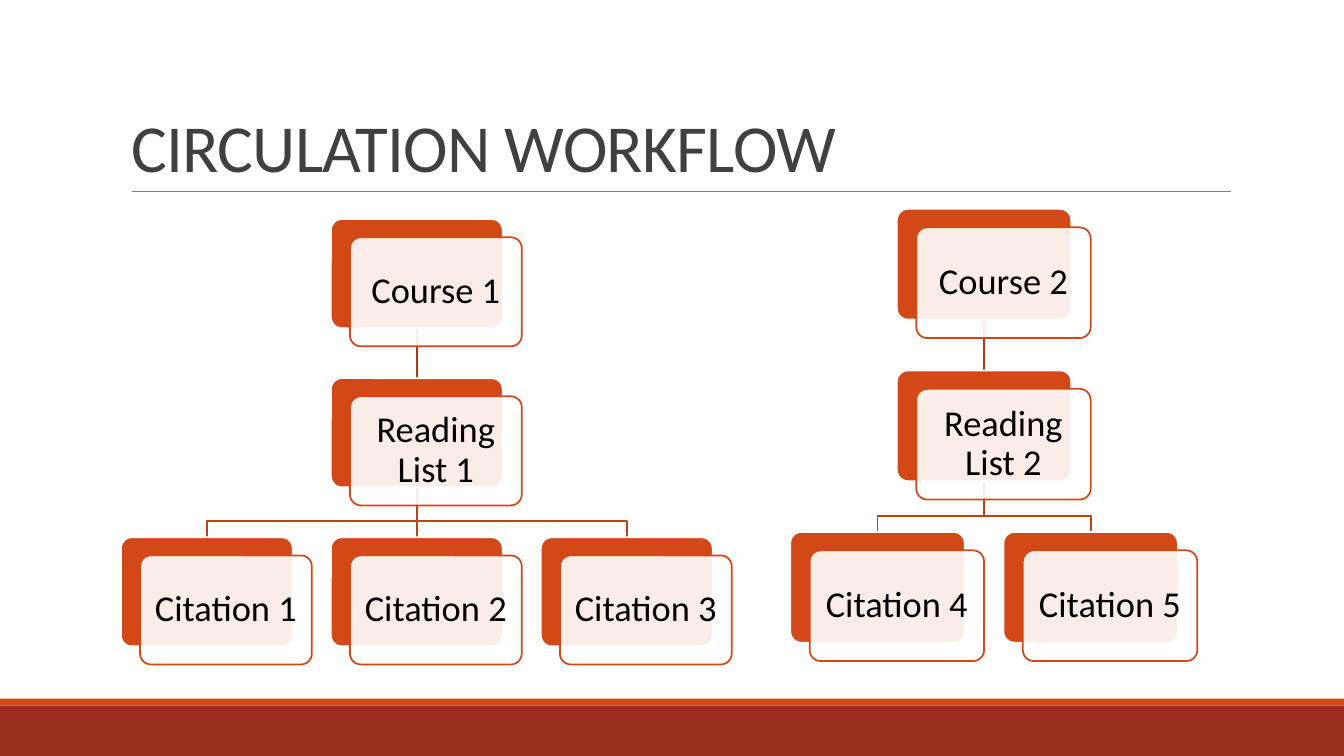
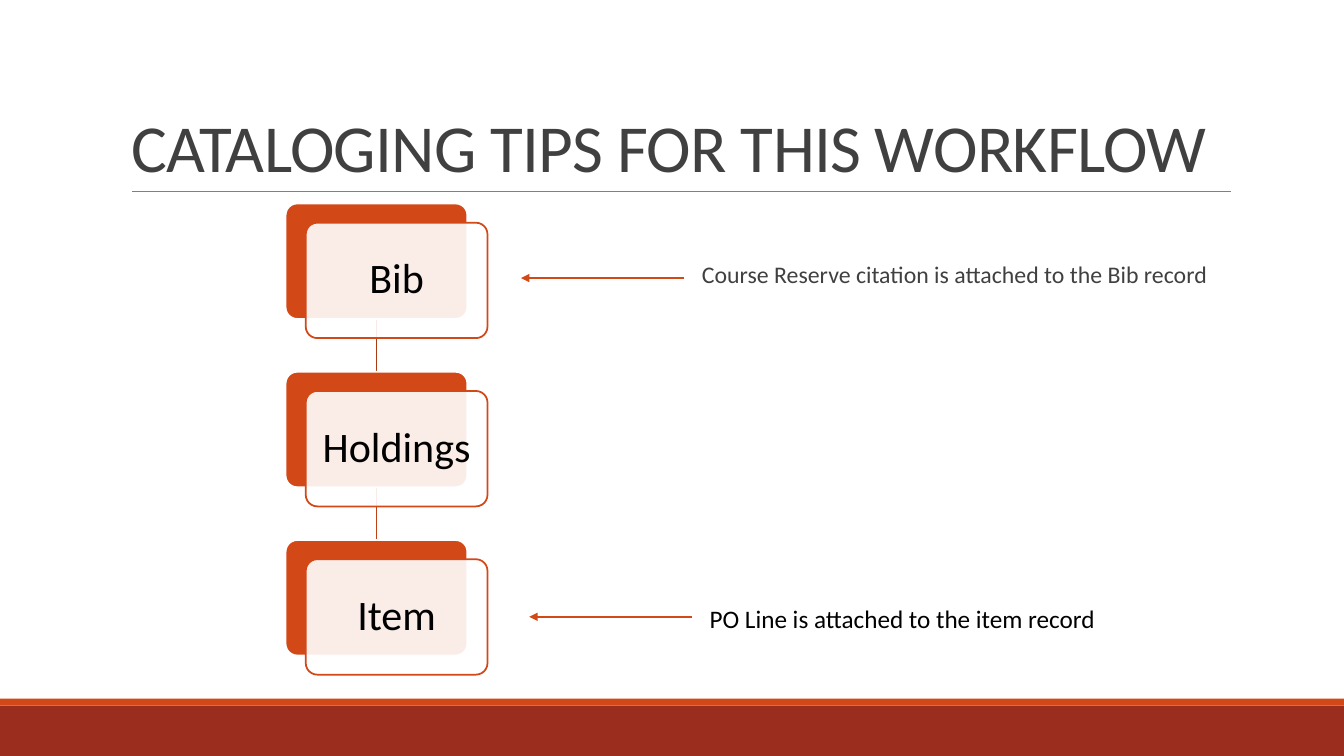
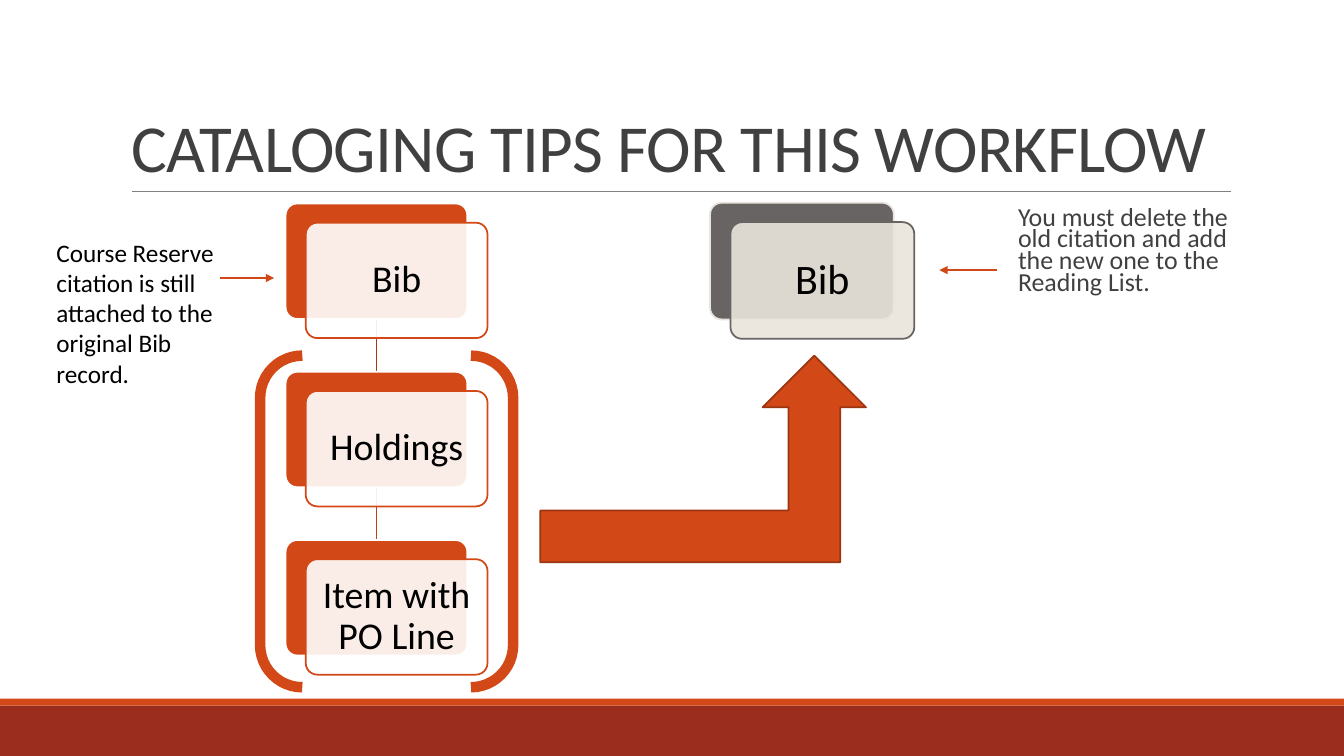
from dataclasses import dataclass

from lxml.etree import SubElement
from pptx import Presentation
from pptx.dml.color import RGBColor
from pptx.enum.shapes import MSO_CONNECTOR, MSO_SHAPE
from pptx.enum.text import MSO_ANCHOR, MSO_AUTO_SIZE, PP_ALIGN
from pptx.oxml.ns import qn
from pptx.util import Pt

ORANGE = RGBColor(0xD3, 0x48, 0x17)
BRICK = RGBColor(0x9B, 0x2D, 0x1F)
ARROW_EDGE = RGBColor(0x9C, 0x35, 0x11)
UPPER_LINK = RGBColor(0xA9, 0x3A, 0x12)
LOWER_LINK = RGBColor(0xBF, 0x41, 0x15)
RULE_GRAY = RGBColor(0x80, 0x80, 0x80)
CARD_GRAY = RGBColor(0x69, 0x64, 0x64)
CREAM = RGBColor(0xE9, 0xE5, 0xDC)
DARK_TEXT = RGBColor(0x40, 0x40, 0x40)
BLACK = RGBColor(0, 0, 0)
WHITE = RGBColor(0xFF, 0xFF, 0xFF)

FONT = "Calibri"
PAGE_WIDTH, PAGE_HEIGHT = 960, 540
MARGINS = ("margin_left", "margin_top", "margin_right", "margin_bottom")
TIPS_TITLE = "CATALOGING TIPS FOR THIS WORKFLOW"


@dataclass
class CardGrid:
    """Cards in columns and rows; every measure follows from the card width."""
    left: float
    top: float
    width: float
    size: float
    strong: RGBColor = ORANGE
    pale: RGBColor = WHITE

    @property
    def height(self):
        return self.width * 0.635

    def corner(self, column, row):
        return (self.left + column * self.width * 11 / 9,
                self.top + row * self.width * 0.926)


def points(*lengths):
    return [Pt(length) for length in lengths]


def apply_format(target, values):
    for name, value in values.items():
        setattr(target, name, value)


def write_text(frame, text, size, colour, spacing=1.0, align=PP_ALIGN.LEFT,
               anchor=MSO_ANCHOR.TOP, margins=(0, 0, 0, 0)):
    apply_format(frame, {"word_wrap": True, "auto_size": MSO_AUTO_SIZE.NONE,
                         "vertical_anchor": anchor})
    apply_format(frame, dict(zip(MARGINS, points(*margins))))
    para = frame.paragraphs[0]
    apply_format(para, {"alignment": align, "line_spacing": spacing})
    span = para.add_run()
    span.text = text
    apply_format(span.font, {"name": FONT, "size": Pt(size)})
    span.font.color.rgb = colour
    return span


def set_line(shape, colour, width):
    shape.line.color.rgb = colour
    shape.line.width = Pt(width)


def add_block(page, kind, box, fill=None, edge=None, edge_width=1.25, opacity=100):
    block = page.shapes.add_shape(kind, *points(*box))
    block.shadow.inherit = False
    if fill is None:
        block.fill.background()
    else:
        block.fill.solid()
        block.fill.fore_color.rgb = fill
        if opacity < 100:
            colour = block.element.spPr.find(f"{qn('a:solidFill')}/{qn('a:srgbClr')}")
            SubElement(colour, qn("a:alpha"), val=str(opacity * 1000))
    if edge is None:
        block.line.fill.background()
    else:
        set_line(block, edge, edge_width)
    return block


def add_line(page, ends, colour, width, arrow=False):
    line = page.shapes.add_connector(MSO_CONNECTOR.STRAIGHT, *points(*ends))
    set_line(line, colour, width)
    properties = line.element.spPr
    SubElement(properties, qn("a:effectLst"))
    if arrow:
        SubElement(properties.find(qn("a:ln")), qn("a:tailEnd"), type="triangle")
    return line


def add_arrow(page, start, end, height):
    add_line(page, (start, height, end, height), ORANGE, 1, arrow=True)


def add_note(page, text, box, size=18, colour=BLACK, spacing=1.0):
    note = page.shapes.add_textbox(*points(*box))
    write_text(note.text_frame, text, size, colour, spacing)


def add_link(page, grid, parent, child):
    """Join the bottom of one card to the top of another, with a bend if needed."""
    start_x, start_y = grid.corner(*parent)
    end_x, end_y = grid.corner(*child)
    start_x += grid.width / 2
    end_x += grid.width / 2
    start_y += grid.height
    colour = LOWER_LINK if parent[1] else UPPER_LINK
    if parent[0] == child[0]:
        add_line(page, (start_x, start_y, end_x, end_y), colour, 1.25)
        return
    bend_y = start_y + (end_y - start_y) * 0.68
    builder = page.shapes.build_freeform(Pt(start_x), Pt(start_y))
    corners = [(start_x, bend_y), (end_x, bend_y), (end_x, end_y)]
    builder.add_line_segments([points(*corner) for corner in corners], close=False)
    link = builder.convert_to_shape()
    link.shadow.inherit = False
    link.fill.background()
    set_line(link, colour, 1.25)


def add_card(page, grid, text, cell):
    """Draw a solid card with a translucent, labelled card shifted over it."""
    left, top = grid.corner(*cell)
    size = (grid.width, grid.height)
    back = add_block(page, MSO_SHAPE.ROUNDED_RECTANGLE, (left, top, *size),
                     grid.strong, grid.pale)
    front = add_block(page, MSO_SHAPE.ROUNDED_RECTANGLE,
                      (left + grid.width / 9, top + grid.width * 0.1056, *size),
                      grid.pale, grid.strong, opacity=90)
    for card in (back, front):
        card.adjustments[0] = 0.1
    write_text(front.text_frame, text, grid.size, BLACK, 0.9, PP_ALIGN.CENTER,
               MSO_ANCHOR.MIDDLE, (7, 7, 7, 7))


def add_tree(page, grid, cards, links):
    for parent, child in links:
        add_link(page, grid, cards[parent], cards[child])
    for text, cell in cards.items():
        add_card(page, grid, text, cell)


def add_chain(page, labels, size):
    cards = {label: (0, row) for row, label in enumerate(labels)}
    add_tree(page, CardGrid(204, 145.4, 129.8, size), cards, zip(labels, labels[1:]))


def dress_layout(layout, page):
    """Draw the shared bands and title rule, then move them to the layout."""
    for placeholder in list(layout.placeholders):
        if placeholder.placeholder_format.idx != 0:
            layout.shapes.element.remove(placeholder.element)
    shared = [
        add_block(page, MSO_SHAPE.RECTANGLE, (0, 504, PAGE_WIDTH, 36), BRICK),
        add_block(page, MSO_SHAPE.RECTANGLE, (0, 499, PAGE_WIDTH, 5), ORANGE),
        add_line(page, (94.3, 136.8, 879.1, 136.8), RULE_GRAY, 0.5),
    ]
    for shape in shared:
        layout.shapes.element.append(shape.element)


def add_page(deck, layout, title):
    page = deck.slides.add_slide(layout)
    box = page.shapes.title
    apply_format(box, dict(zip(("left", "top", "width", "height"),
                               points(86.4, 22.3, 792, 114.5))))
    span = write_text(box.text_frame, title, 48, DARK_TEXT, 0.85,
                      anchor=MSO_ANCHOR.BOTTOM, margins=(7.2, 3.6, 7.2, 3.6))
    span.font.element.set("spc", "-50") if hasattr(span.font, "element") else \
        span._r.get_or_add_rPr().set("spc", "-50")
    return page


def fill_circulation(page):
    add_tree(page, CardGrid(86.4, 156.5, 122.7, 26),
             {"Course 1": (1, 0), "Reading List 1": (1, 1), "Citation 1": (0, 2),
              "Citation 2": (1, 2), "Citation 3": (2, 2)},
             [("Reading List 1", "Citation 3"), ("Reading List 1", "Citation 2"),
              ("Reading List 1", "Citation 1"), ("Course 1", "Reading List 1")])
    add_tree(page, CardGrid(564.5, 149.2, 124.6, 26),
             {"Course 2": (0.5, 0), "Reading List 2": (0.5, 1),
              "Citation 4": (0, 2), "Citation 5": (1, 2)},
             [("Reading List 2", "Citation 5"), ("Reading List 2", "Citation 4"),
              ("Course 2", "Reading List 2")])


def fill_attachments(page):
    add_chain(page, ["Bib", "Holdings", "Item"], 30)
    add_arrow(page, 488.6, 372.2, 198.6)
    add_note(page, "Course Reserve citation is attached to the Bib record",
             (501.4, 189.4, 393, 27), 17, DARK_TEXT, 0.8)
    add_arrow(page, 494.2, 378, 440.6)
    add_note(page, "PO Line is attached to the item record", (506.9, 430.6, 311, 22))


def fill_relocation(page):
    add_chain(page, ["Bib", "Holdings", "Item with PO Line"], 27)
    add_note(page, "You must delete the old citation and add the new one to the "
             "Reading List.", (727.2, 149, 151.2, 74), 18.5, DARK_TEXT, 0.7)
    add_card(page, CardGrid(507.2, 144.8, 131.3, 30, CARD_GRAY, CREAM), "Bib", (0, 0))
    add_block(page, MSO_SHAPE.BENT_UP_ARROW, (386, 254, 232.6, 147.6),
              ORANGE, ARROW_EDGE)
    add_block(page, MSO_SHAPE.DOUBLE_BRACKET, (185.8, 254, 180.7, 236.9),
              edge=ORANGE, edge_width=7.5)
    add_note(page, "Course Reserve citation is still attached to the original Bib "
             "record.", (40.3, 169.2, 124.6, 110))
    add_arrow(page, 157, 195.8, 198.6)
    add_arrow(page, 712, 671, 193)


def main():
    deck = Presentation()
    deck.slide_width, deck.slide_height = points(PAGE_WIDTH, PAGE_HEIGHT)
    layout = deck.slide_layouts.get_by_name("Title Only")
    contents = [("CIRCULATION WORKFLOW", fill_circulation),
                (TIPS_TITLE, fill_attachments),
                (TIPS_TITLE, fill_relocation)]
    for number, (title, fill_page) in enumerate(contents):
        page = add_page(deck, layout, title)
        if number == 0:
            dress_layout(layout, page)
        fill_page(page)
    deck.save("out.pptx")


if __name__ == "__main__":
    main()
